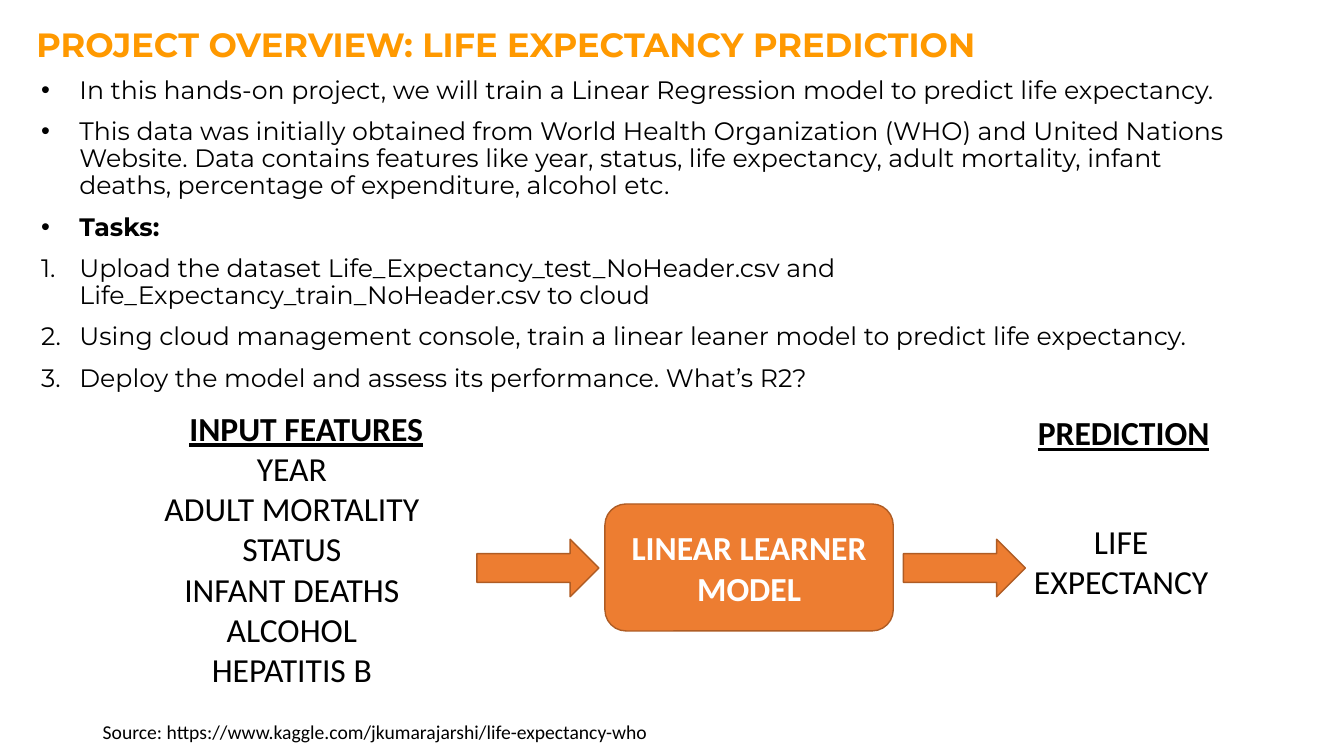
from dataclasses import dataclass

from lxml.etree import SubElement
from pptx import Presentation
from pptx.dml.color import RGBColor
from pptx.enum.shapes import MSO_SHAPE
from pptx.enum.text import MSO_ANCHOR, PP_ALIGN
from pptx.oxml.ns import qn
from pptx.shapes.autoshape import Shape
from pptx.slide import Slide
from pptx.text.text import TextFrame, _Paragraph
from pptx.util import Inches, Pt

BLACK = RGBColor(0x00, 0x00, 0x00)
WHITE = RGBColor(0xFF, 0xFF, 0xFF)
AMBER = RGBColor(0xFF, 0x99, 0x00)
ORANGE = RGBColor(0xED, 0x7D, 0x31)
BROWN = RGBColor(0xAF, 0x5C, 0x24)


@dataclass(frozen=True)
class Box:
    left: float
    top: float
    width: float
    height: float

    def lengths(self) -> list[int]:
        return [Inches(value) for value in (self.left, self.top, self.width, self.height)]


@dataclass(frozen=True)
class Style:
    font: str = "Calibri"
    size: int = 24
    color: RGBColor = BLACK
    bold: bool = False
    underline: bool = False
    alignment: PP_ALIGN = PP_ALIGN.CENTER


@dataclass(frozen=True)
class Label:
    box: Box
    lines: tuple[str, ...]
    style: Style
    inset: float | None = None


@dataclass(frozen=True)
class OverviewItem:
    text: str
    numbered: bool = False
    bold: bool = False


HEADING = Style(bold=True, underline=True)
LABELS = (
    Label(Box(0.31, 0.19, 13.02, 0.77), ("PROJECT OVERVIEW: LIFE EXPECTANCY PREDICTION",),
          Style("Montserrat", color=AMBER, bold=True, alignment=PP_ALIGN.LEFT), inset=0.05),
    Label(Box(0.92, 7.09, 14.55, 0.34),
          ("Source: https://www.kaggle.com/jkumarajarshi/life-expectancy-who",),
          Style(size=14, alignment=PP_ALIGN.LEFT)),
    Label(Box(9.99, 5.12, 2.26, 0.91), ("LIFE EXPECTANCY",), Style()),
    Label(Box(1.78, 4, 2.87, 0.5), ("INPUT FEATURES",),
          Style(bold=True, underline=True, alignment=PP_ALIGN.LEFT)),
    Label(Box(9.68, 4.04, 2.93, 0.5), ("PREDICTION",), HEADING),
    Label(Box(0.76, 4.39, 4.27, 2.52),
          ("YEAR", "ADULT MORTALITY", "STATUS", "INFANT DEATHS", "ALCOHOL", "HEPATITIS B"),
          Style()),
)

OVERVIEW_BOX = Box(0.31, 0.72, 12, 3.53)
OVERVIEW = (
    OverviewItem("In this hands-on project, we will train a Linear Regression model to predict "
                 "life expectancy."),
    OverviewItem("This data was initially obtained from World Health Organization (WHO) and "
                 "United Nations Website. Data contains features like year, status, life "
                 "expectancy, adult mortality, infant deaths, percentage of expenditure, "
                 "alcohol etc."),
    OverviewItem("Tasks:", bold=True),
    OverviewItem("Upload the dataset Life_Expectancy_test_NoHeader.csv and "
                 "Life_Expectancy_train_NoHeader.csv to cloud", numbered=True),
    OverviewItem("Using cloud management console, train a linear leaner model to predict life "
                 "expectancy.", numbered=True),
    OverviewItem("Deploy the model and assess its performance. What’s R2?", numbered=True),
)

MODEL_BOX = Box(6, 5, 2.86, 1.26)
ARROW_LEFTS = (4.73, 8.96)


def add_styled_run(paragraph: _Paragraph, text: str, style: Style) -> None:
    """Append one run of text in the given style."""
    paragraph.alignment = style.alignment
    run = paragraph.add_run()
    run.text = text
    run.font.name = style.font
    run.font.size = Pt(style.size)
    run.font.color.rgb = style.color
    run.font.bold = style.bold
    run.font.underline = style.underline


def paragraph_at(text_frame: TextFrame, index: int) -> _Paragraph:
    """Return the first paragraph, or a new one for later indexes."""
    return text_frame.add_paragraph() if index else text_frame.paragraphs[0]


def add_text_frame(slide: Slide, box: Box) -> TextFrame:
    """Add a wrapping text box and return its frame."""
    text_frame = slide.shapes.add_textbox(*box.lengths()).text_frame
    text_frame.word_wrap = True
    return text_frame


def add_label(slide: Slide, label: Label) -> None:
    """Draw a label with one paragraph per line."""
    text_frame = add_text_frame(slide, label.box)
    if label.inset is not None:
        text_frame.margin_left = text_frame.margin_right = Inches(label.inset)
        text_frame.margin_top = text_frame.margin_bottom = Inches(label.inset)
    for index, line in enumerate(label.lines):
        add_styled_run(paragraph_at(text_frame, index), line, label.style)


def add_bullet(paragraph: _Paragraph, numbered: bool) -> None:
    """Give a paragraph a hanging dot or number."""
    properties = paragraph._p.get_or_add_pPr()
    properties.set("marL", str(Inches(0.38)))
    properties.set("indent", str(Inches(-0.38)))
    color = SubElement(properties, qn("a:buClr"))
    SubElement(color, qn("a:srgbClr"), val=str(BLACK))
    if numbered:
        SubElement(properties, qn("a:buFont"), typeface="+mj-lt")
        SubElement(properties, qn("a:buAutoNum"), type="arabicPeriod")
    else:
        SubElement(properties, qn("a:buFont"), typeface="Arial")
        SubElement(properties, qn("a:buChar"), char="•")


def add_overview(slide: Slide) -> None:
    """Draw the project description and its numbered tasks."""
    text_frame = add_text_frame(slide, OVERVIEW_BOX)
    for index, item in enumerate(OVERVIEW):
        paragraph = paragraph_at(text_frame, index)
        add_bullet(paragraph, item.numbered)
        paragraph.line_spacing = 0.9
        paragraph.space_before = Pt(10 if index else 0)
        style = Style("Montserrat", 18, bold=item.bold, alignment=PP_ALIGN.LEFT)
        add_styled_run(paragraph, item.text, style)


def add_orange_shape(slide: Slide, kind: MSO_SHAPE, box: Box) -> Shape:
    """Add an orange preset shape with a brown outline."""
    shape = slide.shapes.add_shape(kind, *box.lengths())
    shape.shadow.inherit = False
    shape.fill.solid()
    shape.fill.fore_color.rgb = ORANGE
    shape.line.color.rgb = BROWN
    shape.line.width = Pt(1)
    return shape


def add_model_flow(slide: Slide) -> None:
    """Draw the model box and the arrows into and out of it."""
    model = add_orange_shape(slide, MSO_SHAPE.ROUNDED_RECTANGLE, MODEL_BOX)
    model.text_frame.word_wrap = True
    model.text_frame.vertical_anchor = MSO_ANCHOR.MIDDLE
    add_styled_run(model.text_frame.paragraphs[0], "LINEAR LEARNER MODEL",
                   Style(color=WHITE, bold=True))
    for left in ARROW_LEFTS:
        add_orange_shape(slide, MSO_SHAPE.RIGHT_ARROW, Box(left, 5.35, 1.21, 0.57))


def main() -> None:
    """Build the project overview slide and save it."""
    presentation = Presentation()
    presentation.slide_width = Inches(13.33)
    presentation.slide_height = Inches(7.5)
    slide = presentation.slides.add_slide(presentation.slide_layouts[6])
    add_overview(slide)
    add_model_flow(slide)
    for label in LABELS:
        add_label(slide, label)
    presentation.save("out.pptx")


if __name__ == "__main__":
    main()
